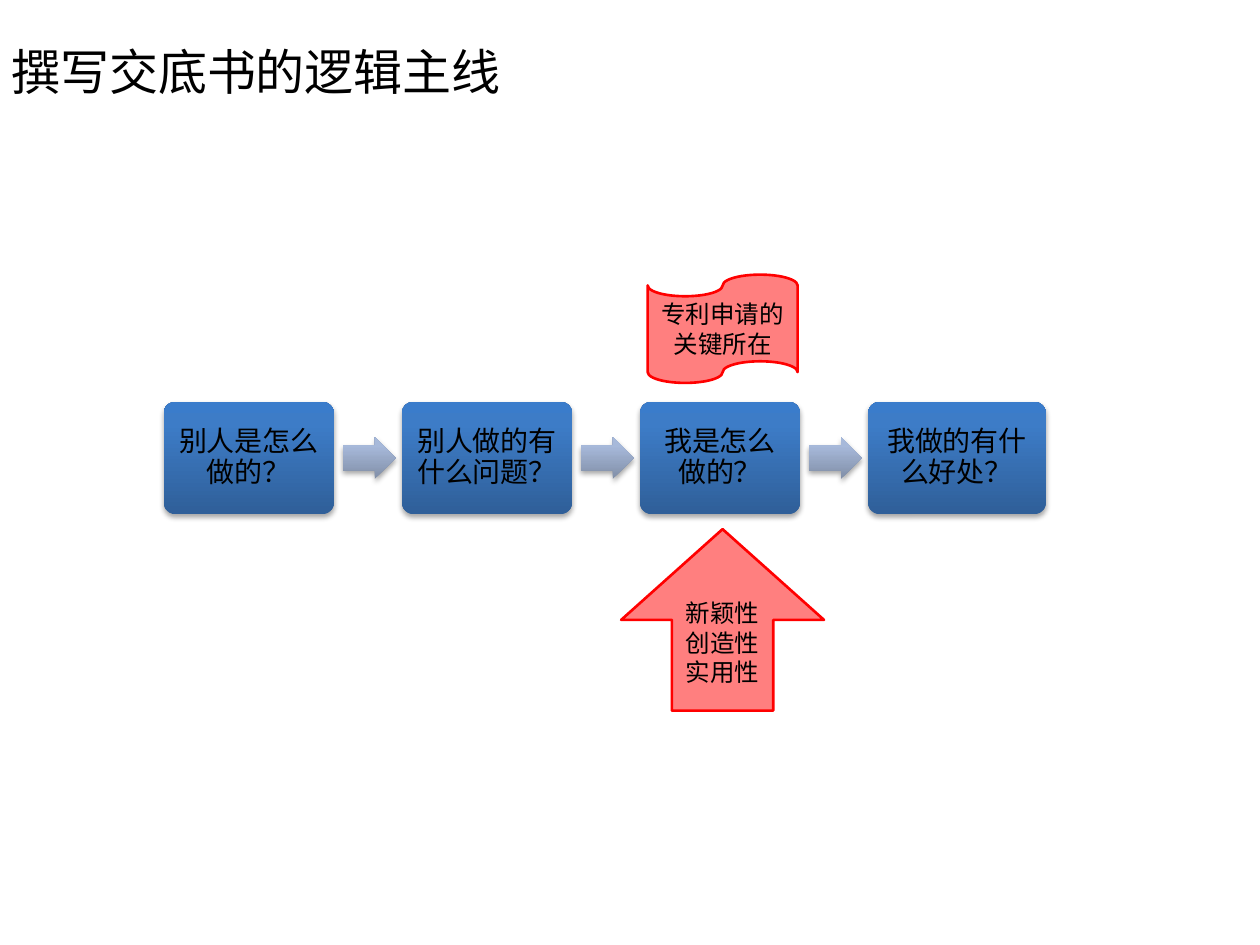
import pptx
import pptx.dml.color
import pptx.enum.shapes
import pptx.enum.text
import pptx.oxml
import pptx.oxml.ns
import pptx.util

SHAPES = pptx.enum.shapes.MSO_SHAPE
ALIGN = pptx.enum.text.PP_ALIGN
ANCHOR = pptx.enum.text.MSO_ANCHOR
BLUE = [(0, "2F5F99"), (80, "3D7CC7"), (100, "3A7CCB")]
GREY = [(0, "818FA8"), (80, "A7B9DA"), (100, "A7BADC")]


def color(value):
    return pptx.dml.color.RGBColor.from_string(value)


def assign(target, values):
    for name, value in values.items():
        setattr(target, name, value)


def element(tag, content):
    name = tag.split()[0]
    return pptx.oxml.parse_xml(
        f"<a:{tag} {pptx.oxml.ns.nsdecls('a')}>{content}</a:{name}>")


class FlowSlide:
    """Draws on one slide, on a grid of 100 columns by 75 rows."""

    font = "Noto Sans CJK SC"
    ink = "000000"
    accent = "FF0000"

    def __init__(self, deck):
        self.column = deck.slide_width / 100
        self.row = deck.slide_height / 75
        self.slide = deck.slides.add_slide(deck.slide_layouts[5])

    def place(self, left, top, width, height):
        return [round(value * unit) for value, unit in
                zip((left, top, width, height), (self.column, self.row) * 2)]

    def fill_text(self, shape, lines, size, align, frame_format, para_format=None):
        frame = shape.text_frame
        assign(frame, {"word_wrap": True, **frame_format})
        for index, line in enumerate(lines):
            para = frame.add_paragraph() if index else frame.paragraphs[0]
            assign(para, {"alignment": align, **(para_format or {})})
            span = para.add_run()
            span.text = line
            assign(span.font, {"size": pptx.util.Pt(size), "name": self.font})
            span.font.color.rgb = color(self.ink)
            latin = span._r.get_or_add_rPr().find(pptx.oxml.ns.qn("a:latin"))
            latin.addnext(element(f'ea typeface="{self.font}"', ""))

    def title(self, text, *spot):
        title = self.slide.shapes.title
        assign(title, dict(zip(("left", "top", "width", "height"), self.place(*spot))))
        self.fill_text(title, [text], 28, ALIGN.LEFT, {"vertical_anchor": ANCHOR.TOP})

    def shape(self, kind, spot, adjustments=()):
        shape = self.slide.shapes.add_shape(kind, *self.place(*spot))
        for index, value in enumerate(adjustments):
            shape.adjustments[index] = value
        return shape

    def shaded(self, kind, spot, stops, adjustments):
        shape = self.shape(kind, spot, adjustments)
        shape.line.fill.background()
        marks = "".join(f'<a:gs pos="{share * 1000}"><a:srgbClr val="{value}"/></a:gs>'
                        for share, value in stops)
        properties = shape._element.spPr
        properties.find(pptx.oxml.ns.qn("a:prstGeom")).addnext(element(
            'gradFill rotWithShape="1"',
            f'<a:gsLst>{marks}</a:gsLst><a:lin ang="16200000" scaled="0"/>'))
        blur, distance = int(pptx.util.Pt(3.1)), int(pptx.util.Pt(1.8))
        properties.append(element(
            "effectLst",
            f'<a:outerShdw blurRad="{blur}" dist="{distance}" dir="5400000" '
            'rotWithShape="0"><a:srgbClr val="000000"><a:alpha val="35000"/>'
            '</a:srgbClr></a:outerShdw>'))
        return shape

    def step(self, text, *spot):
        box = self.shaded(SHAPES.ROUNDED_RECTANGLE, spot, BLUE, [0.1])
        sides = ("left", "top", "right", "bottom")
        insets = {f"margin_{side}": pptx.util.Inches(0.07) for side in sides}
        self.fill_text(box, [text], 16, ALIGN.CENTER,
                       {"vertical_anchor": ANCHOR.MIDDLE, **insets},
                       {"line_spacing": 0.9})

    def arrow(self, *spot):
        self.shaded(SHAPES.RIGHT_ARROW, spot, GREY, [0.6, 0.5])

    def callout(self, kind, lines, *spot):
        callout = self.shape(kind, spot)
        callout.shadow.inherit = False
        callout.fill.solid()
        callout.fill.fore_color.rgb = color(self.accent)
        solid = callout._element.spPr.find(pptx.oxml.ns.qn("a:solidFill"))
        solid[0].append(element('alpha val="50000"', ""))
        callout.line.color.rgb = color(self.accent)
        callout.line.width = pptx.util.Pt(1.5)
        self.fill_text(callout, lines, 14, ALIGN.CENTER,
                       {"vertical_anchor": ANCHOR.MIDDLE})


def main():
    deck = pptx.Presentation()
    deck.slide_width, deck.slide_height = pptx.util.Inches(10), pptx.util.Inches(7.5)
    page = FlowSlide(deck)
    page.title("撰写交底书的逻辑主线", -0.1, 2.8, 90, 7.9)
    page.callout(SHAPES.FLOWCHART_PUNCHED_TAPE, ["专利申请的", "关键所在"],
                 51.4, 21.8, 11.9, 8.6)
    steps = [("别人是怎么做的？", 13.5), ("别人做的有什么问题？", 13.5),
             ("我是怎么做的？", 12.7), ("我做的有什么好处？", 14.1)]
    left, gap = 13, 5.4
    for index, (text, width) in enumerate(steps):
        if index:
            page.arrow(left - gap + 0.7, 34.7, 4.2, 3.3)
        page.step(text, left, 31.9, width, 8.9)
        left += width + gap
    page.callout(SHAPES.UP_ARROW, ["新颖性", "创造性", "实用性"], 49.3, 42, 16.1, 14.4)
    deck.save("out.pptx")


if __name__ == "__main__":
    main()
